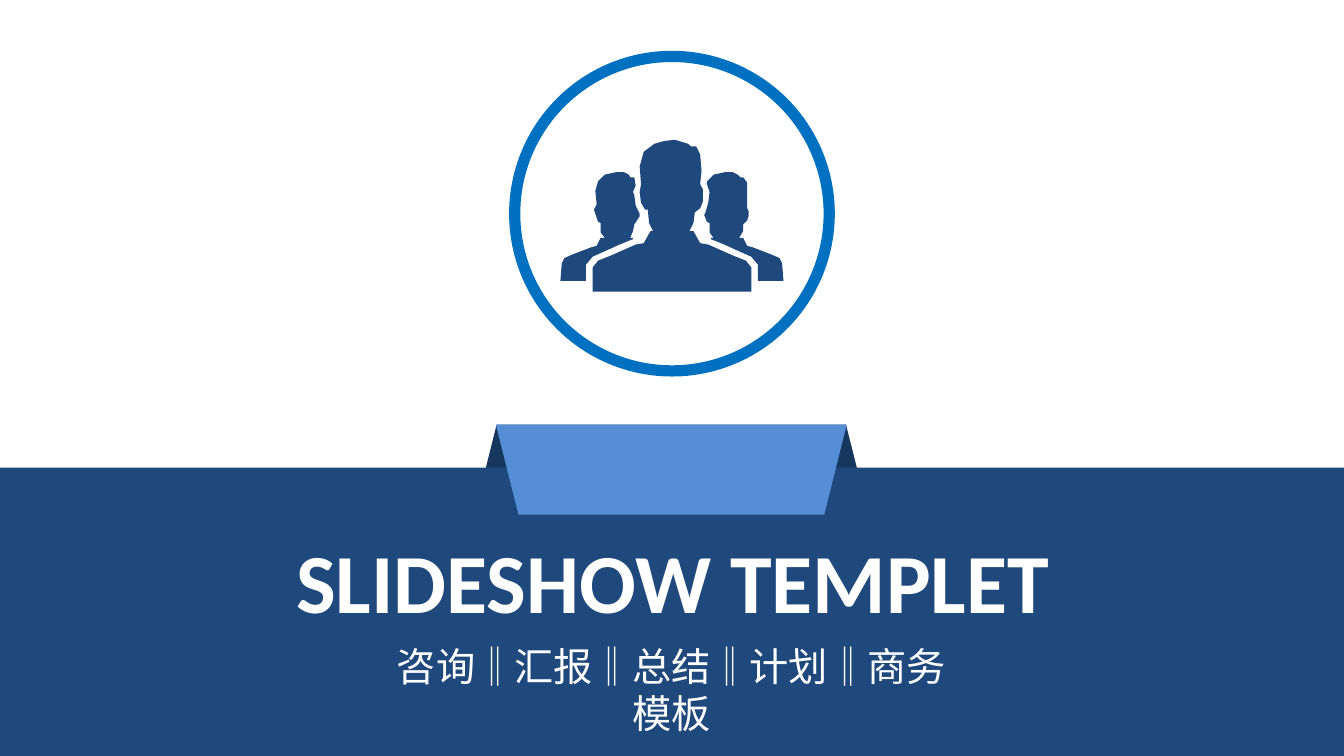
from pptx import Presentation
from pptx.dml.color import RGBColor
from pptx.enum.shapes import MSO_SHAPE
from pptx.enum.text import PP_ALIGN
from pptx.util import Inches, Pt

NAVY = RGBColor(0x1F, 0x48, 0x7C)
DARK_NAVY = RGBColor(0x17, 0x37, 0x5E)
RIBBON_BLUE = RGBColor(0x55, 0x8E, 0xD5)
RING_BLUE = RGBColor(0x00, 0x70, 0xC0)
WHITE = RGBColor(0xFF, 0xFF, 0xFF)

SLIDE_WIDTH = 10
SLIDE_HEIGHT = SLIDE_WIDTH * 9 / 16
BAND_TOP = 3.48
RIBBON_TOP = 3.16

# Outlines of the people icon, in inches on the slide
LEFT_PERSON = [
    (4.71, 1.43), (4.73, 1.38), (4.72, 1.32), (4.69, 1.32), (4.68, 1.3),
    (4.64, 1.28), (4.59, 1.28), (4.5, 1.3), (4.45, 1.35), (4.43, 1.42),
    (4.44, 1.52), (4.42, 1.56), (4.45, 1.65), (4.47, 1.66), (4.47, 1.73),
    (4.5, 1.77), (4.47, 1.77), (4.44, 1.83), (4.4, 1.84), (4.27, 1.89),
    (4.2, 1.92), (4.18, 1.96), (4.17, 2.09), (4.36, 2.09), (4.36, 1.97),
    (4.41, 1.91), (4.5, 1.87), (4.61, 1.82), (4.71, 1.78), (4.71, 1.77),
    (4.69, 1.77), (4.71, 1.72), (4.72, 1.67), (4.74, 1.64), (4.76, 1.61),
    (4.76, 1.59), (4.73, 1.53), (4.72, 1.45),
]
RIGHT_PERSON = [
    (5.82, 1.96), (5.8, 1.92), (5.73, 1.89), (5.6, 1.84), (5.56, 1.83),
    (5.53, 1.77), (5.5, 1.77), (5.53, 1.72), (5.53, 1.67), (5.56, 1.64),
    (5.57, 1.61), (5.57, 1.57), (5.56, 1.55), (5.56, 1.36), (5.53, 1.32),
    (5.51, 1.32), (5.49, 1.3), (5.45, 1.28), (5.4, 1.28), (5.31, 1.3),
    (5.26, 1.35), (5.26, 1.37), (5.28, 1.43), (5.27, 1.51), (5.25, 1.58),
    (5.24, 1.6), (5.26, 1.65), (5.28, 1.66), (5.28, 1.73), (5.31, 1.77),
    (5.29, 1.77), (5.29, 1.78), (5.39, 1.82), (5.5, 1.87), (5.59, 1.91),
    (5.64, 1.97), (5.64, 2.09), (5.83, 2.09),
]
FRONT_PERSON = [
    (5.21, 1.15), (5.22, 1.27), (5.21, 1.37), (5.23, 1.41), (5.23, 1.5),
    (5.21, 1.55), (5.17, 1.58), (5.16, 1.66), (5.13, 1.72), (5.16, 1.72),
    (5.21, 1.81), (5.27, 1.82), (5.45, 1.9), (5.55, 1.94), (5.59, 1.99),
    (5.59, 2.17), (4.41, 2.17), (4.41, 1.99), (4.45, 1.94), (4.55, 1.9),
    (4.73, 1.82), (4.79, 1.81), (4.84, 1.72), (4.86, 1.72), (4.83, 1.66),
    (4.82, 1.56), (4.8, 1.56), (4.77, 1.51), (4.76, 1.43), (4.77, 1.37),
    (4.76, 1.24), (4.79, 1.13), (4.87, 1.07), (4.94, 1.05), (5.02, 1.04),
    (5.12, 1.07), (5.14, 1.09), (5.18, 1.09),
]


def add_block(slide, kind, left, top, width, height, fill):
    block = slide.shapes.add_shape(
        kind, Inches(left), Inches(top), Inches(width), Inches(height))
    block.shadow.inherit = False
    block.fill.solid()
    block.fill.fore_color.rgb = fill
    block.line.fill.background()
    return block


def add_ring(slide, left, top, size):
    ring = slide.shapes.add_shape(
        MSO_SHAPE.OVAL, Inches(left), Inches(top), Inches(size), Inches(size))
    ring.shadow.inherit = False
    ring.fill.background()
    ring.line.color.rgb = RING_BLUE
    ring.line.width = Pt(6)


def add_silhouette(shapes, outlines):
    first, *others = [[(Inches(x), Inches(y)) for x, y in outline]
                      for outline in outlines]
    builder = shapes.build_freeform(*first[0])
    builder.add_line_segments(first[1:])
    for outline in others:
        builder.move_to(*outline[0])
        builder.add_line_segments(outline[1:])
    silhouette = builder.convert_to_shape()
    silhouette.shadow.inherit = False
    silhouette.fill.solid()
    silhouette.fill.fore_color.rgb = NAVY
    silhouette.line.fill.background()


def add_heading(slide, text, left, top, width, height, font, size,
                bold=False, wrap=True):
    frame = slide.shapes.add_textbox(
        Inches(left), Inches(top), Inches(width), Inches(height)).text_frame
    frame.word_wrap = wrap
    paragraph = frame.paragraphs[0]
    paragraph.text = text
    paragraph.alignment = PP_ALIGN.CENTER
    paragraph.font.name = font
    paragraph.font.size = Pt(size)
    paragraph.font.bold = bold
    paragraph.font.color.rgb = WHITE


def main():
    presentation = Presentation()
    presentation.slide_width = Inches(SLIDE_WIDTH)
    presentation.slide_height = Inches(SLIDE_HEIGHT)
    slide = presentation.slides.add_slide(presentation.slide_layouts[6])

    # Ribbon folded over the bottom band
    add_block(slide, MSO_SHAPE.TRAPEZOID, 3.55, RIBBON_TOP, 2.89, 0.58, DARK_NAVY)
    add_block(slide, MSO_SHAPE.RECTANGLE, 0, BAND_TOP,
              SLIDE_WIDTH, SLIDE_HEIGHT - BAND_TOP, NAVY)
    ribbon = add_block(slide, MSO_SHAPE.TRAPEZOID, 3.69, RIBBON_TOP, 2.61, 0.67,
                       RIBBON_BLUE)
    ribbon.rotation = 180

    # People icon inside its ring
    people = slide.shapes.add_group_shape()
    add_silhouette(people.shapes, [LEFT_PERSON, RIGHT_PERSON])
    add_silhouette(people.shapes, [FRONT_PERSON])
    add_ring(slide, 3.83, 0.42, 2.34)

    # Title and subtitle
    add_heading(slide, "SLIDESHOW TEMPLET", 1.81, 3.89, 6.39, 0.86,
                "Calibri", 45, bold=True, wrap=False)
    add_heading(slide, "咨询‖汇报‖总结‖计划‖商务模板", 2.75, 4.73, 4.49, 0.45,
                "Noto Sans CJK SC", 21)

    presentation.save("out.pptx")


if __name__ == "__main__":
    main()
